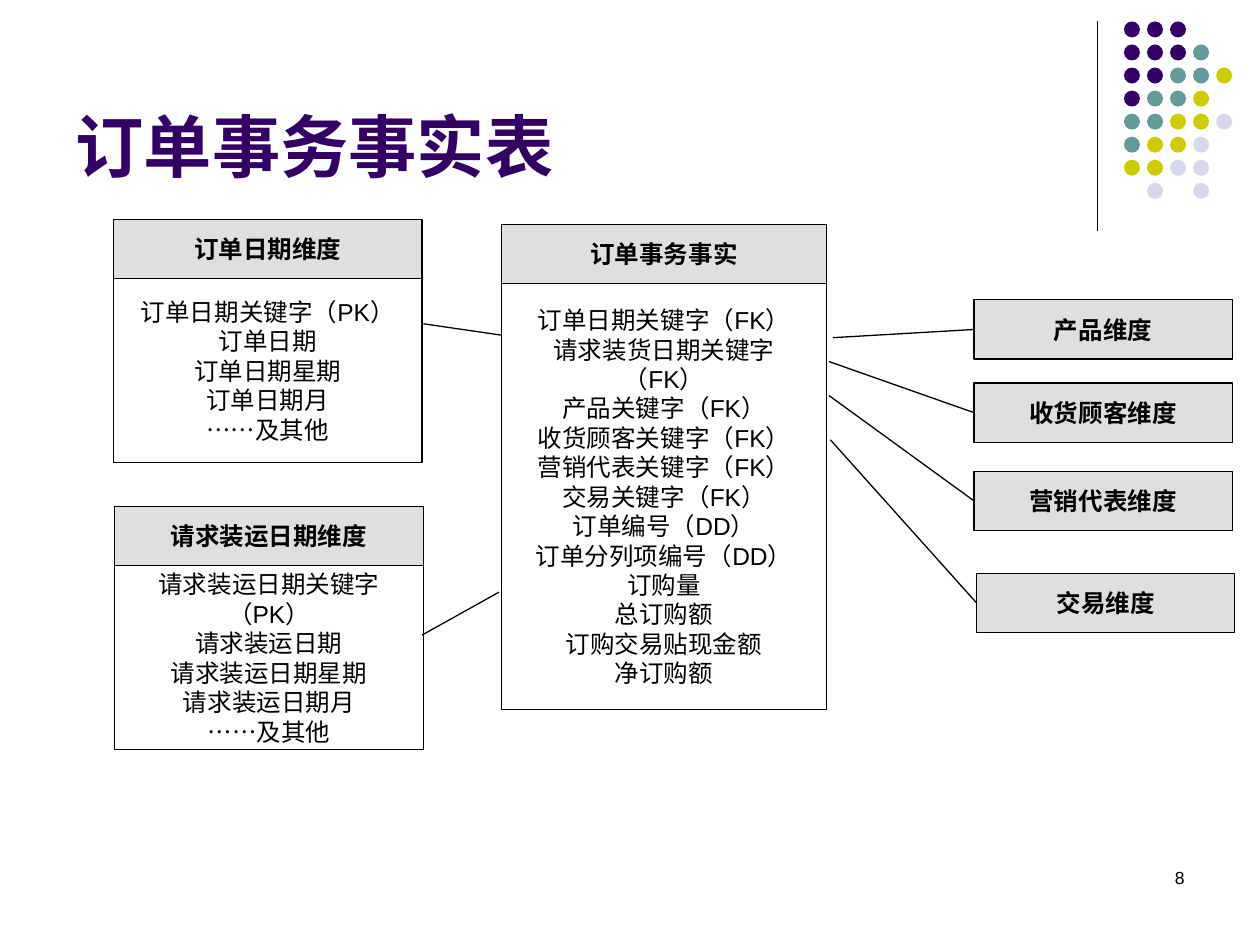
from dataclasses import dataclass

import pptx
import pptx.dml.color
import pptx.enum.shapes
import pptx.enum.text
import pptx.oxml.ns
import pptx.util
from lxml import etree

ALIGN = pptx.enum.text.PP_ALIGN
ANCHOR = pptx.enum.text.MSO_ANCHOR
SHAPE = pptx.enum.shapes.MSO_SHAPE

# Grid: 100 columns by 75 rows on a 10 x 7.5 inch slide
deck = pptx.Presentation()
deck.slide_width = pptx.util.Inches(10)
deck.slide_height = pptx.util.Inches(7.5)
COLUMN = deck.slide_width / 100
ROW = deck.slide_height / 75

HEADER_ROWS = 4.7
DIMENSION_COLUMNS = 20.5
DOT_SIZE = 1.27
DOT_PITCH = 1.83
DOT_COLOURS = {"P": "330066", "T": "669999", "Y": "CCCC00", "L": "D8D8EC"}
DOT_PATTERN = ["PPP", "PPPT", "PPTTY", "PTTY", "TTYYL", "TYYL", "YYLL", " L L"]


@dataclass
class Entity:
    name: str
    col: float
    row: float
    columns: float
    body_rows: float
    fields: list[str]


@dataclass
class Dimension:
    name: str
    col: float
    row: float
    link_col: float
    link_row: float


@dataclass
class Link:
    start: tuple[float, float]
    end: tuple[float, float]


ENTITIES = [
    Entity("订单事务事实", 39.8, 17.8, 25.8, 33.8, [
        "订单日期关键字（FK）", "请求装货日期关键字（FK）", "产品关键字（FK）",
        "收货顾客关键字（FK）", "营销代表关键字（FK）", "交易关键字（FK）",
        "订单编号（DD）", "订单分列项编号（DD）", "订购量", "总订购额",
        "订购交易贴现金额", "净订购额"]),
    Entity("订单日期维度", 9, 17.4, 24.5, 14.6, [
        "订单日期关键字（PK）", "订单日期", "订单日期星期", "订单日期月", "……及其他"]),
    Entity("请求装运日期维度", 9.1, 40.2, 24.5, 14.6, [
        "请求装运日期关键字（PK）", "请求装运日期", "请求装运日期星期",
        "请求装运日期月", "……及其他"]),
]
DIMENSIONS = [
    Dimension("产品维度", 77.3, 23.8, 66.1, 26.8),
    Dimension("收货顾客维度", 77.3, 30.4, 65.8, 28.7),
    Dimension("营销代表维度", 77.3, 37.4, 65.8, 31.4),
    Dimension("交易维度", 77.5, 45.5, 65.9, 34.9),
]
DATE_LINKS = [Link((33.6, 25.7), (39.8, 26.6)), Link((33.5, 50.4), (39.6, 47))]


def place(col: float, row: float) -> tuple[int, int]:
    return round(col * COLUMN), round(row * ROW)


def rgb(colour: str) -> pptx.dml.color.RGBColor:
    return pptx.dml.color.RGBColor.from_string(colour)


def write(frame, text: str, *, size: float = 14, colour: str = "000000",
          bold: bool = False, align=ALIGN.CENTER, anchor=ANCHOR.MIDDLE) -> None:
    """Fill a text frame with one paragraph for each line of text."""
    frame.word_wrap = True
    frame.auto_size = pptx.enum.text.MSO_AUTO_SIZE.NONE
    frame.vertical_anchor = anchor
    frame.text = text
    for paragraph in frame.paragraphs:
        paragraph.alignment = align
        font = paragraph.runs[0].font
        font.name, font.size, font.bold = "Arial", pptx.util.Pt(size), bold
        font.color.rgb = rgb(colour)


def draw_box(shapes, col: float, row: float, columns: float, rows: float,
             text: str, header: bool):
    box = shapes.add_shape(SHAPE.RECTANGLE, *place(col, row), *place(columns, rows))
    box.shadow.inherit = False
    box.line.color.rgb = rgb("000000")
    box.line.width = pptx.util.Pt(0.75)
    if header:
        box.fill.solid()
        box.fill.fore_color.rgb = rgb("C0C0C0")
        # Half-transparent grey
        colour = box.fill._xPr.find(".//" + pptx.oxml.ns.qn("a:srgbClr"))
        etree.SubElement(colour, pptx.oxml.ns.qn("a:alpha"), val="50000")
    else:
        box.fill.background()
    write(box.text_frame, text, bold=header)
    return box


def draw_line(shapes, link: Link):
    line = shapes.add_connector(pptx.enum.shapes.MSO_CONNECTOR.STRAIGHT,
                                *place(*link.start), *place(*link.end))
    line.line.color.rgb = rgb("000000")
    line.line.width = pptx.util.Pt(0.75)
    etree.SubElement(line._element.spPr, pptx.oxml.ns.qn("a:effectLst"))
    return line


def draw_entity(shapes, entity: Entity) -> None:
    draw_box(shapes, entity.col, entity.row, entity.columns, HEADER_ROWS,
             entity.name, header=True)
    draw_box(shapes, entity.col, entity.row + HEADER_ROWS, entity.columns,
             entity.body_rows, "\n".join(entity.fields), header=False)


def draw_dimension(shapes, dimension: Dimension) -> None:
    box = draw_box(shapes, dimension.col, dimension.row, DIMENSION_COLUMNS,
                   HEADER_ROWS, dimension.name, header=True)
    middle = (dimension.col, dimension.row + HEADER_ROWS / 2)
    link = draw_line(shapes, Link((dimension.link_col, dimension.link_row), middle))
    link.end_connect(box, 1)


def draw_dots(shapes, col: float, row: float) -> None:
    dots = shapes.add_group_shape().shapes
    for r, pattern in enumerate(DOT_PATTERN):
        for c, key in enumerate(pattern):
            if key == " ":
                continue
            dot = dots.add_shape(SHAPE.OVAL,
                                 *place(col + c * DOT_PITCH, row + r * DOT_PITCH),
                                 *place(DOT_SIZE, DOT_SIZE))
            dot.shadow.inherit = False
            dot.fill.solid()
            dot.fill.fore_color.rgb = rgb(DOT_COLOURS[key])
            dot.line.fill.background()


def main() -> None:
    slide = deck.slides.add_slide(deck.slide_layouts[5])
    shapes = slide.shapes

    # Corner decoration
    draw_line(shapes, Link((87.1, 1.7), (87.1, 18.3)))
    draw_dots(shapes, 89.2, 1.7)

    # Title and page number
    title = shapes.title
    title.left, title.top = place(5, 1.1)
    title.width, title.height = place(82.5, 14.2)
    write(title.text_frame, "订单事务事实表", size=39, colour="330066", bold=True,
          align=ALIGN.LEFT, anchor=ANCHOR.BOTTOM)
    page_number = shapes.add_textbox(*place(71.7, 68.3), *place(23.3, 5))
    write(page_number.text_frame, "8", size=10, align=ALIGN.RIGHT, anchor=ANCHOR.TOP)

    # Fact table, dimensions and their links
    for entity in ENTITIES:
        draw_entity(shapes, entity)
    for dimension in DIMENSIONS:
        draw_dimension(shapes, dimension)
    for link in DATE_LINKS:
        draw_line(shapes, link)

    deck.save("out.pptx")


if __name__ == "__main__":
    main()
